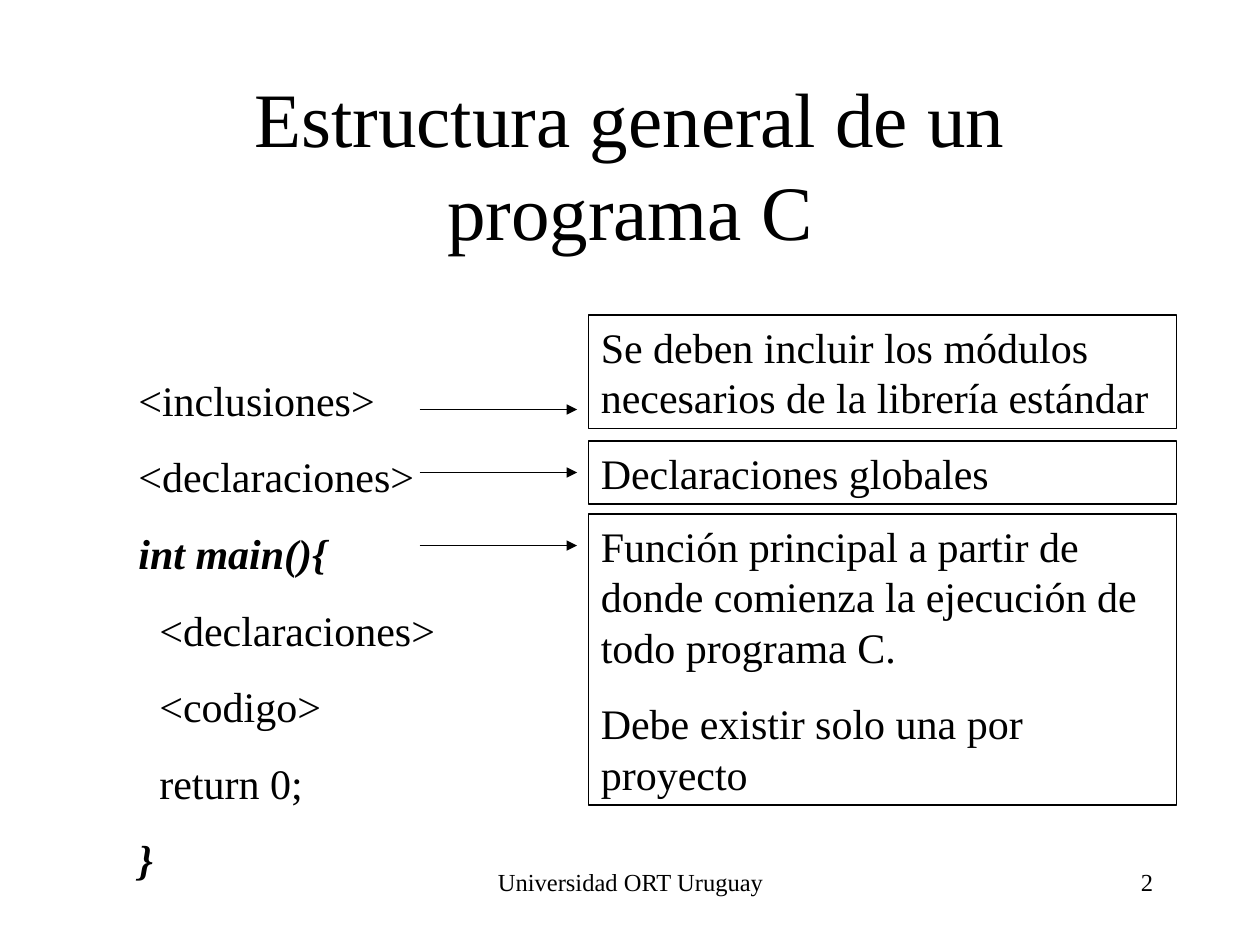
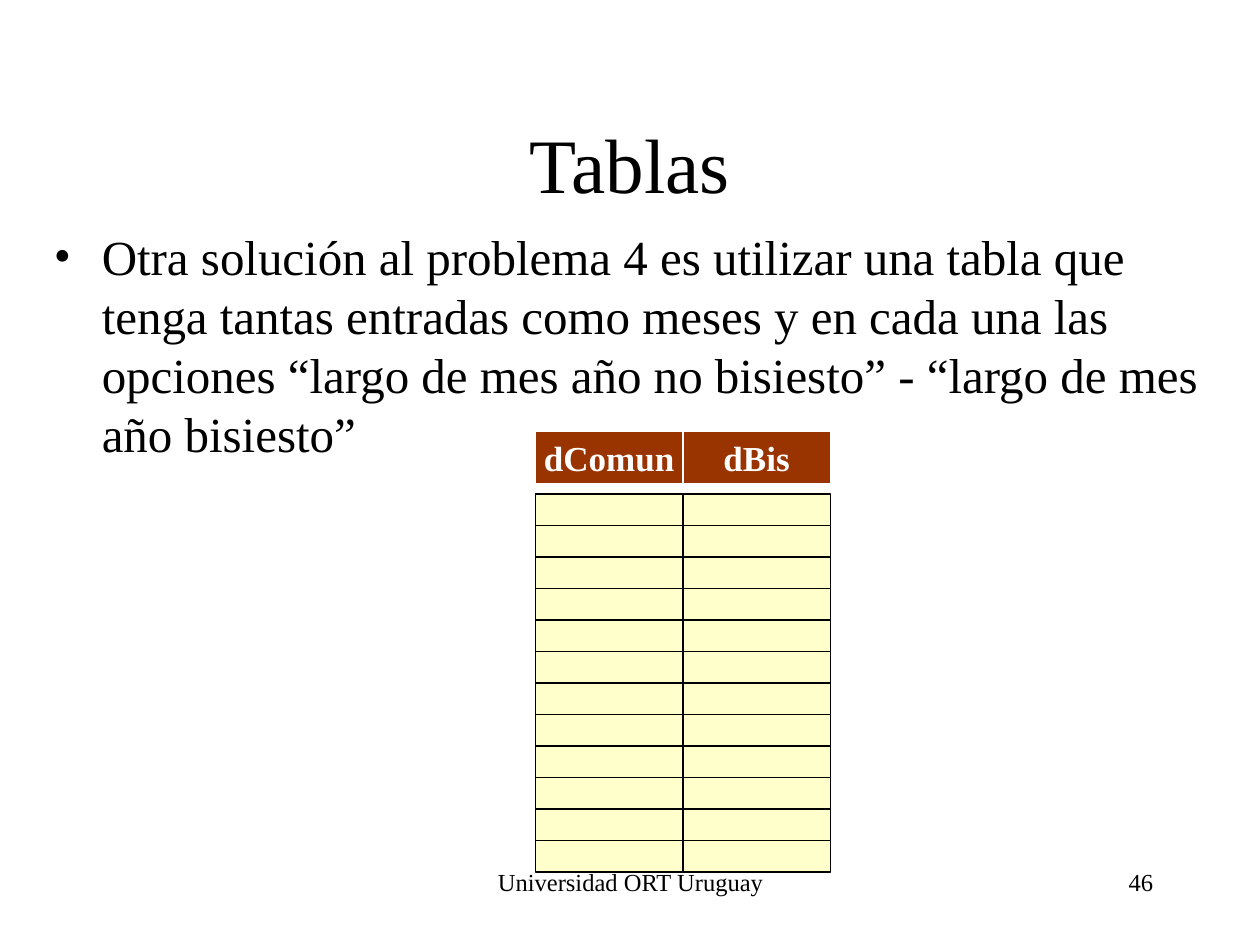
from lxml import etree
from pptx import Presentation
from pptx.dml.color import RGBColor
from pptx.enum.shapes import MSO_CONNECTOR, MSO_SHAPE
from pptx.enum.text import MSO_ANCHOR as ANCHOR, MSO_AUTO_SIZE as AUTO, PP_ALIGN as ALIGN
from pptx.oxml.ns import qn
from pptx.util import Inches, Pt

BLACK = RGBColor(0x00, 0x00, 0x00)
WHITE = RGBColor(0xFF, 0xFF, 0xFF)
BROWN = RGBColor(0x99, 0x33, 0x00)
CREAM = RGBColor(0xFF, 0xFF, 0xCC)
FONT = "Times New Roman"
BOLD_ITALIC = {"bold": True, "italic": True}


def write(sp, lines, size, align=ALIGN.LEFT, color=BLACK, anchor=ANCHOR.TOP, wrap=True, gap=15):
    """Fill a shape with paragraphs given as (text, font format) pairs."""
    tf = sp.text_frame
    tf.auto_size = AUTO.NONE
    tf.word_wrap, tf.vertical_anchor = wrap, anchor
    for i, (text, fmt) in enumerate(lines):
        p = tf.paragraphs[0] if i == 0 else tf.add_paragraph()
        p.alignment = align
        if i:
            p.space_before = Pt(gap)
        r = p.add_run()
        r.text = text
        r.font.color.rgb = color
        for name, value in {"name": FONT, "size": Pt(size), **fmt}.items():
            setattr(r.font, name, value)


def add_box(s, x, y, w, h, line, fill=None):
    sp = s.shapes.add_shape(MSO_SHAPE.RECTANGLE, Inches(x), Inches(y), Inches(w), Inches(h))
    sp.shadow.inherit = False
    if fill is None:
        sp.fill.background()
    else:
        sp.fill.solid()
        sp.fill.fore_color.rgb = fill
    sp.line.color.rgb = line
    sp.line.width = Pt(0.75)
    return sp


prs = Presentation()
prs.slide_width, prs.slide_height = Inches(10), Inches(7.5)

# Title, footer and page number on both slides
slides = []
for title, number in [("Estructura general de un programa C", "2"), ("Tablas", "46")]:
    s = prs.slides.add_slide(prs.slide_layouts[5])
    sp = s.shapes.title
    sp.left, sp.top, sp.width, sp.height = map(Inches, (0.75, 0.67, 8.5, 1.25))
    write(sp, [(title, {})], 44, ALIGN.CENTER, anchor=ANCHOR.MIDDLE)
    for text, x, w, align in [("Universidad ORT Uruguay", 3.42, 3.17, ALIGN.CENTER),
                              (number, 7.17, 2.08, ALIGN.RIGHT)]:
        sp = s.shapes.add_textbox(Inches(x), Inches(6.83), Inches(w), Inches(0.5))
        write(sp, [(text, {})], 14, align)
    slides.append(s)
structure, tables = slides

# Program skeleton with its explanations
code = structure.shapes.add_textbox(Inches(1), Inches(2.92), Inches(2.75), Inches(4.15))
write(code, [("<inclusiones>", {}),
             ("<declaraciones>", {}),
             ("int main(){", BOLD_ITALIC),
             ("  <declaraciones>", {}),
             ("  <codigo>", {}),
             ("  return 0;", {}),
             ("}", BOLD_ITALIC)], 24)

notes = [
    (2.5, 0.9, 3.25, ["Se deben incluir los módulos necesarios de la librería estándar"]),
    (3.5, 0.5, 3.75, ["Declaraciones globales"]),
    (4.08, 2.31, 4.33, ["Función principal a partir de donde comienza la ejecución de todo programa C.",
                        "Debe existir solo una por proyecto"]),
]
for top, height, arrow_y, texts in notes:
    arrow = structure.shapes.add_connector(
        MSO_CONNECTOR.STRAIGHT, Inches(3.33), Inches(arrow_y), Inches(4.58), Inches(arrow_y))
    arrow.line.color.rgb = BLACK
    arrow.line.width = Pt(0.75)
    etree.SubElement(arrow.line._get_or_add_ln(), qn("a:tailEnd"), type="triangle")
    etree.SubElement(arrow._element.spPr, qn("a:effectLst"))
    write(add_box(structure, 4.67, top, 4.67, height, BLACK), [(t, {}) for t in texts], 24)

# Bulleted explanation
body = tables.shapes.add_textbox(Inches(0.33), Inches(1.75), Inches(9.33), Inches(2.17))
write(body, [("Otra solución al problema 4 es utilizar una tabla que tenga tantas entradas "
              "como meses y en cada una las opciones “largo de mes año no bisiesto” - "
              "“largo de mes año bisiesto”", {})], 28)
pPr = body.text_frame.paragraphs[0]._p.get_or_add_pPr()
pPr.set("marL", str(Inches(0.38)))
pPr.set("indent", str(-Inches(0.38)))
etree.SubElement(pPr, qn("a:buFont"), typeface=FONT)
etree.SubElement(pPr, qn("a:buChar"), char="•")

# Month grid: one row per month, one column per kind of year
MONTHS, COL_W, ROW_H = 12, 1.17, 0.25
for col, heading in enumerate(["dComun", "dBis"]):
    x = 4.25 + col * COL_W
    for month in range(MONTHS):
        add_box(tables, x, 3.92 + month * ROW_H, COL_W, ROW_H, BLACK, CREAM)
    write(add_box(tables, x, 3.42, COL_W, 0.42, WHITE, BROWN), [(heading, {"bold": True})],
          20, ALIGN.CENTER, WHITE, ANCHOR.MIDDLE, wrap=False)

prs.save("out.pptx")
